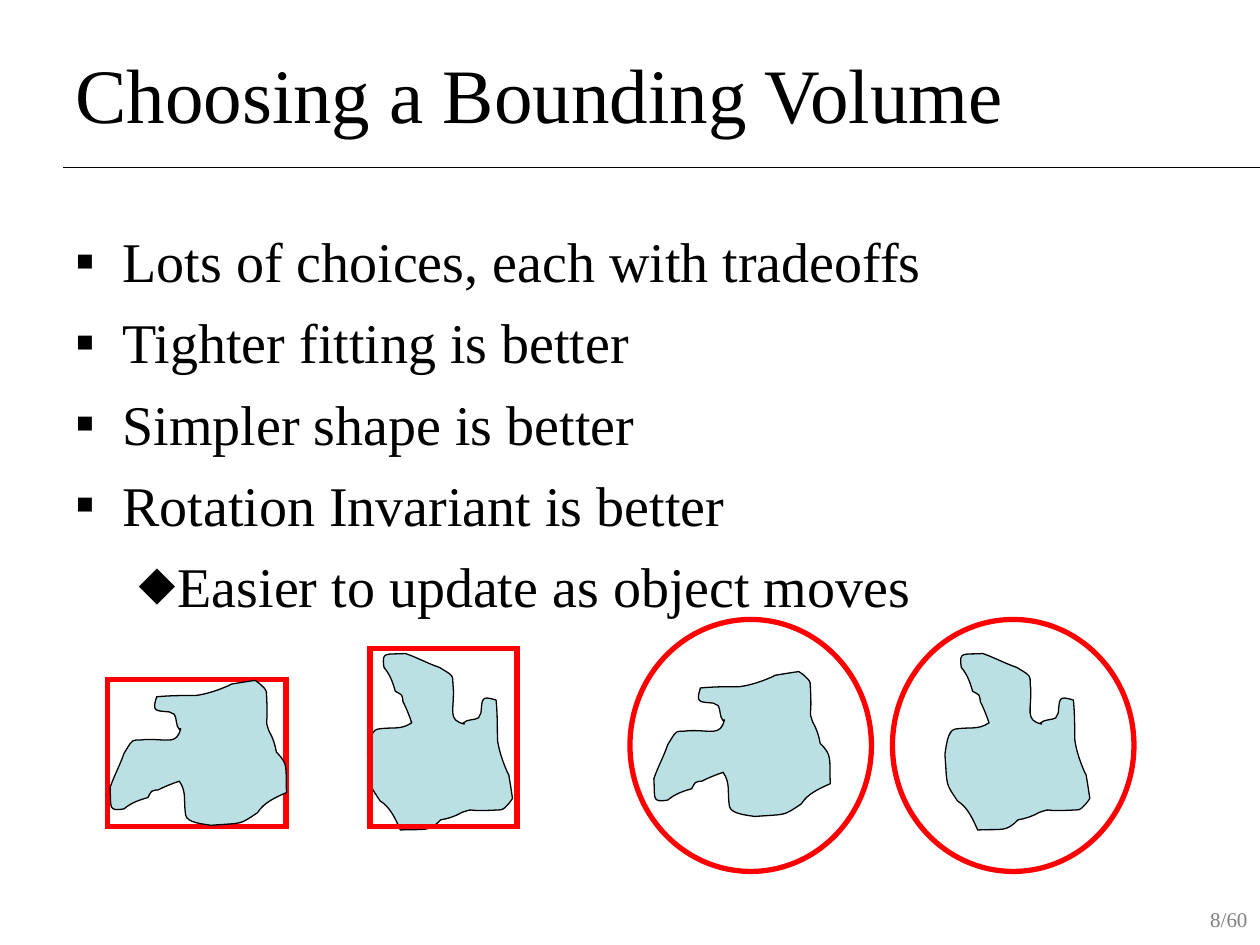
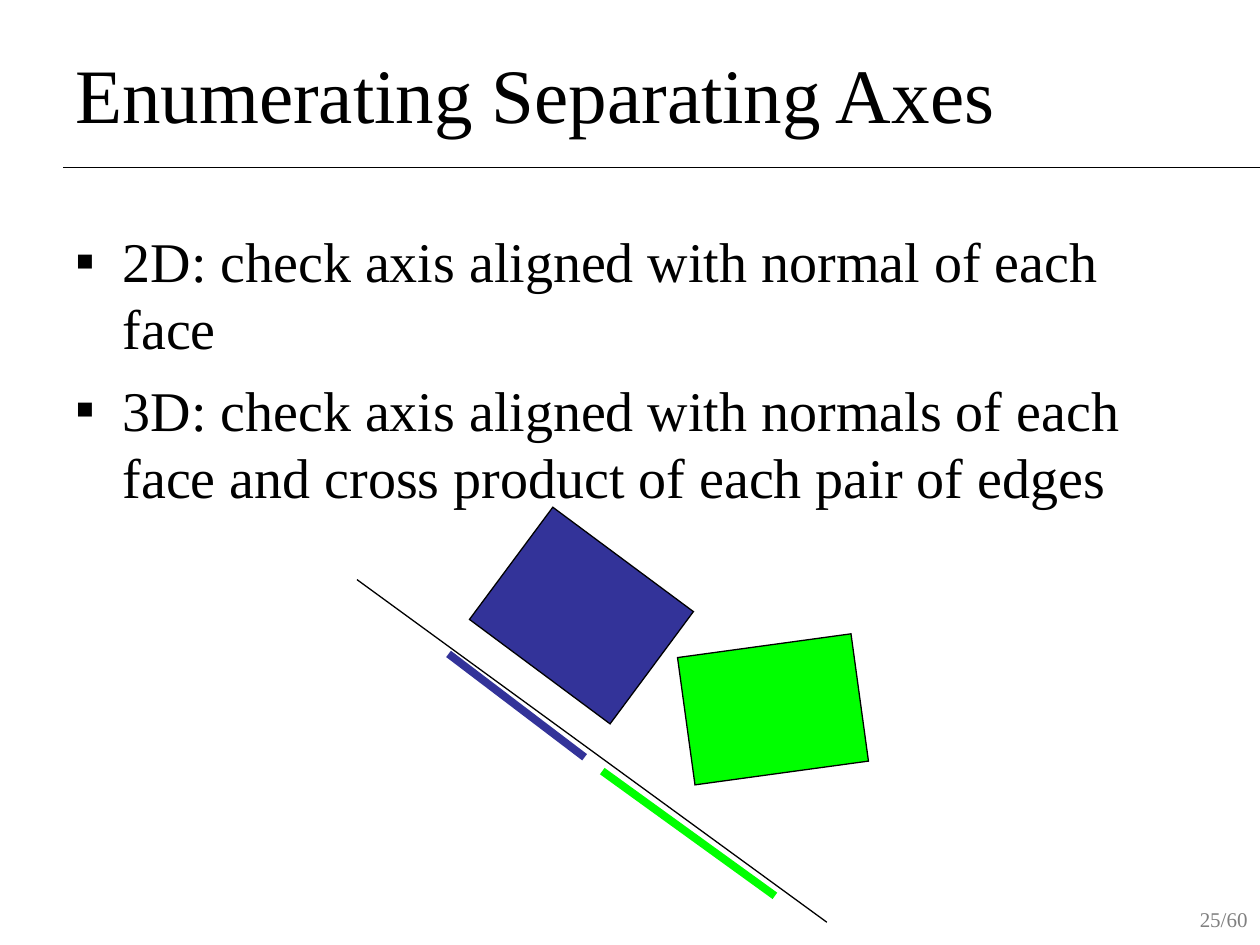
from lxml import etree
from pptx import Presentation
from pptx.dml.color import RGBColor
from pptx.enum.shapes import MSO_CONNECTOR, MSO_SHAPE
from pptx.enum.text import MSO_ANCHOR, PP_ALIGN
from pptx.oxml.ns import qn
from pptx.util import Pt

STRAIGHT = MSO_CONNECTOR.STRAIGHT
RECTANGLE, OVAL = MSO_SHAPE.RECTANGLE, MSO_SHAPE.OVAL
TOP, MIDDLE = MSO_ANCHOR.TOP, MSO_ANCHOR.MIDDLE
LEFT, RIGHT = PP_ALIGN.LEFT, PP_ALIGN.RIGHT

BLACK = RGBColor(0x00, 0x00, 0x00)
GREY = RGBColor(0x80, 0x80, 0x80)
RED = RGBColor(0xFF, 0x00, 0x00)
GREEN = RGBColor(0x00, 0xFF, 0x00)
INDIGO = RGBColor(0x33, 0x33, 0x99)
PALE_TEAL = RGBColor(0xBB, 0xE0, 0xE3)

FONT = "Times New Roman"
PAGE_COUNT = 60
BULLETS = [("▪", 27, -27), ("⬥", 58.5, -22.5)]

OBJECT_START = (58, 38)
OBJECT_CURVES = [
    (55, 52, 47, 46, 29, 47), (23, 48, 21, 46, 18, 50), (16, 53, 13, 58, 13, 58),
    (10, 67, 5, 76, 2, 85), (3, 101, 0, 104, 13, 102), (19, 97, 25, 95, 32, 93),
    (33, 91, 34, 89, 35, 88), (37, 87, 39, 87, 40, 87), (46, 84, 51, 82, 57, 80),
    (63, 89, 60, 95, 62, 107), (63, 113, 76, 114, 82, 115),
    (108, 113, 104, 115, 119, 105), (124, 97, 133, 93, 142, 89),
    (141, 69, 144, 67, 134, 57), (133, 51, 131, 45, 128, 40),
    (124, 27, 128, 43, 126, 9), (125, 5, 117, 0, 117, 0), (110, 1, 104, 2, 98, 3),
    (97, 3, 96, 5, 94, 5), (87, 8, 78, 11, 70, 12), (60, 12, 50, 12, 39, 13),
    (35, 25, 38, 24, 49, 25), (50, 26, 52, 26, 53, 27), (55, 30, 54, 36, 57, 39),
    (57, 40, 58, 38, 58, 38),
]


class Lecture:
    """Holds the lecture style and the slide being filled."""

    def __init__(self):
        self.deck = Presentation()
        self.deck.slide_width, self.deck.slide_height = Pt(720), Pt(540)
        self.slide = None

    def start_slide(self, title, page):
        """Add a slide with its title, rule and page number."""
        self.slide = self.deck.slides.add_slide(self.deck.slide_layouts[6])
        self.line((36, 95.76), (720, 95.76))
        self.text((552.24, 514.4, 167.76, 37.44), [(f"{page}/{PAGE_COUNT}", None)],
                  12, GREY, align=RIGHT)
        self.text((36, 21.6, 648, 62.64), [(title, None)], 44, anchor=MIDDLE)

    def text(self, box, items, size, color=BLACK, align=LEFT, anchor=TOP):
        """Add a text box of (wording, bullet level or None) items."""
        frame = self.slide.shapes.add_textbox(*map(Pt, box)).text_frame
        frame.word_wrap = True
        frame.vertical_anchor = anchor
        for index, (wording, level) in enumerate(items):
            paragraph = frame.add_paragraph() if index else frame.paragraphs[0]
            paragraph.text = wording
            paragraph.alignment = align
            if level is not None:
                self.bullet(paragraph, level)
            paragraph.font.name = FONT
            paragraph.font.size = Pt(size)
            paragraph.font.color.rgb = color

    def bullet(self, paragraph, level):
        """Give a paragraph the bullet and indent of its level."""
        mark, margin, indent = BULLETS[level]
        paragraph.level = level
        paragraph.space_before = Pt(8)
        properties = paragraph._p.get_or_add_pPr()
        properties.set("marL", str(Pt(margin)))
        properties.set("indent", str(Pt(indent)))
        etree.SubElement(properties, qn("a:buFont"), typeface=FONT)
        etree.SubElement(properties, qn("a:buChar"), char=mark)

    def body(self, items):
        """Add the bulleted body text."""
        self.text((36, 126, 648, 356.4), items, 32)

    def line(self, start, end, color=BLACK, width=0.75):
        """Add a straight line."""
        ends = map(Pt, (*start, *end))
        connector = self.slide.shapes.add_connector(STRAIGHT, *ends)
        connector.line.color.rgb = color
        connector.line.width = Pt(width)
        etree.SubElement(connector._element.spPr, qn("a:effectLst"))

    def paint(self, shape, fill, outline, width, rotation):
        """Apply fill, sharp-cornered outline and rotation to a shape."""
        shape.shadow.inherit = False
        if fill is None:
            shape.fill.background()
        else:
            shape.fill.solid()
            shape.fill.fore_color.rgb = fill
        shape.line.color.rgb = outline
        shape.line.width = Pt(width)
        stroke = shape._element.spPr.find(qn("a:ln"))
        etree.SubElement(stroke, qn("a:miter"), lim="800000")
        shape.rotation = rotation

    def shape(self, kind, box, fill=None, outline=BLACK, width=0.75, rotation=0):
        """Add a preset shape."""
        preset = self.slide.shapes.add_shape(kind, *map(Pt, box))
        self.paint(preset, fill, outline, width, rotation)

    def bounding_volume(self, kind, box):
        """Add a hollow red bounding volume."""
        self.shape(kind, box, outline=RED, width=3)

    def irregular_object(self, left, top, rotation=0):
        """Add the irregular object that gets bounded."""
        controls = [curve[i:i + 2] for curve in OBJECT_CURVES for i in (0, 2, 4)]
        builder = self.slide.shapes.build_freeform(*OBJECT_START, scale=Pt(0.72))
        builder.add_line_segments(controls, close=True)
        blob = builder.convert_to_shape(Pt(left), Pt(top))
        self.bend(blob)
        self.paint(blob, PALE_TEAL, BLACK, 0.75, rotation)

    def bend(self, shape):
        """Turn each three line segments of a freeform into one cubic curve."""
        segments = list(shape._element.iter(qn("a:lnTo")))[:3 * len(OBJECT_CURVES)]
        for first, second, third in zip(*[iter(segments)] * 3):
            curve = etree.Element(qn("a:cubicBezTo"))
            first.addprevious(curve)
            for segment in (first, second, third):
                curve.append(segment[0])
                segment.getparent().remove(segment)


def add_bounding_volume_slide(lecture):
    """Compare boxes and circles around a turning object."""
    lecture.start_slide("Choosing a Bounding Volume", 8)
    lecture.body([
        ("Lots of choices, each with tradeoffs", 0),
        ("Tighter fitting is better", 0),
        ("Simpler shape is better", 0),
        ("Rotation Invariant is better", 0),
        ("Easier to update as object moves", 1),
    ])
    lecture.irregular_object(372.24, 383.76)
    lecture.bounding_volume(RECTANGLE, (61.5, 388.2, 102, 84))
    lecture.bounding_volume(OVAL, (360, 354, 138, 144))
    lecture.irregular_object(61.5, 388.8)
    lecture.irregular_object(199.6, 382.5, 90)
    lecture.bounding_volume(RECTANGLE, (211.5, 370.5, 84, 102))
    lecture.bounding_volume(OVAL, (510, 354, 138, 144))
    lecture.irregular_object(529.5, 382.5, 90)


def add_separating_axes_slide(lecture):
    """Show two boxes projected on a separating axis."""
    lecture.start_slide("Enumerating Separating Axes", 25)
    lecture.body([
        ("2D: check axis aligned with normal of each face", 0),
        ("3D: check axis aligned with normals of each face "
         "and cross product of each pair of edges", 0),
    ])
    lecture.shape(RECTANGLE, (292.32, 301.68, 79.92, 100.08), INDIGO, rotation=306.6)
    lecture.shape(RECTANGLE, (391.68, 368.64, 100.08, 73.44), GREEN, rotation=352.2)
    lecture.line((204, 331.2), (472.5, 527))
    lecture.line((256.32, 373.68), (334.08, 432.72), INDIGO, 4.5)
    lecture.line((344.16, 440.64), (442.8, 511.92), GREEN, 4.5)


def main():
    """Build and save the lecture."""
    lecture = Lecture()
    add_bounding_volume_slide(lecture)
    add_separating_axes_slide(lecture)
    lecture.deck.save("out.pptx")


if __name__ == "__main__":
    main()
